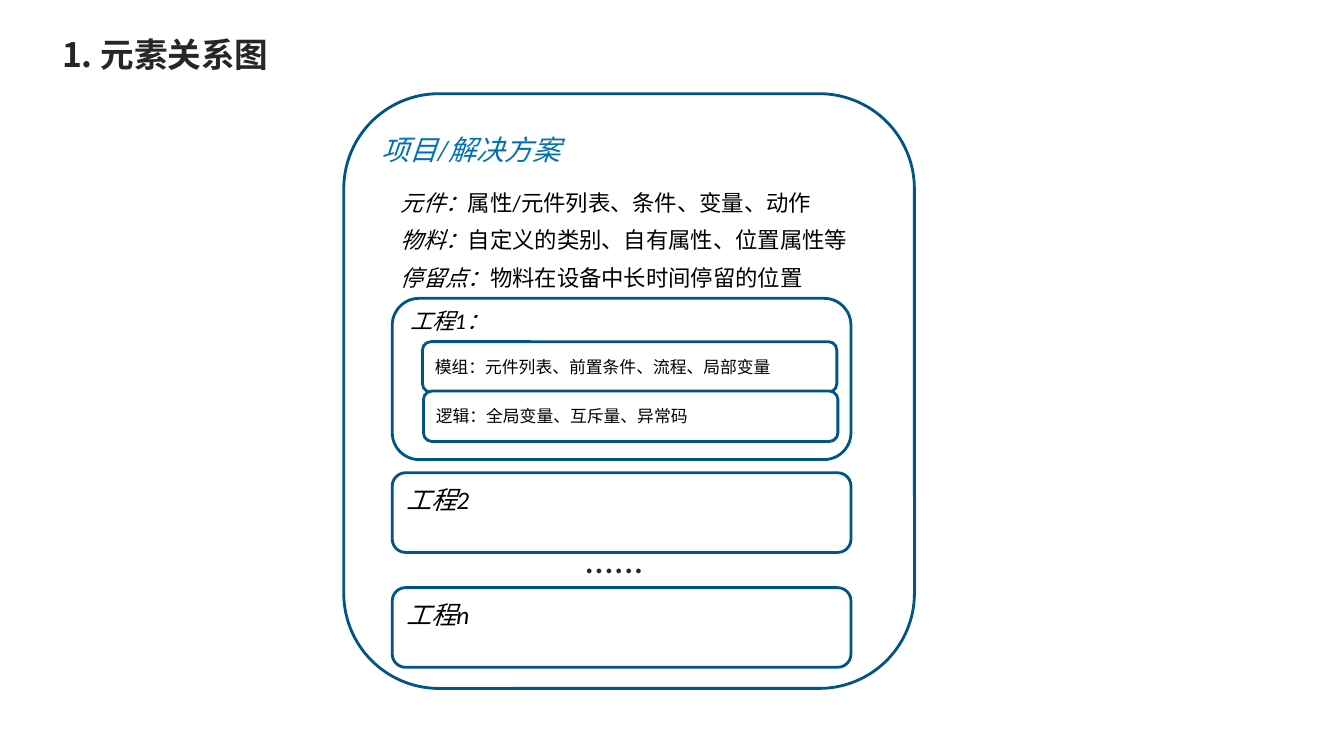
import pptx
import pptx.dml.color
import pptx.enum.shapes
import pptx.enum.text
import pptx.util
from lxml import etree
from dataclasses import dataclass

Inches, Pt = pptx.util.Inches, pptx.util.Pt
ANCHOR = pptx.enum.text.MSO_ANCHOR
ALIGN = pptx.enum.text.PP_ALIGN
ROUNDED = pptx.enum.shapes.MSO_SHAPE.ROUNDED_RECTANGLE


@dataclass(frozen=True)
class Theme:
    white: str = "FFFFFF"
    border: str = "005587"
    accent: str = "0071B4"
    dark: str = "262626"
    black: str = "000000"
    font: str = "Calibri"
    title_font: str = "Noto Sans CJK SC"
    title: int = 24
    heading: int = 20
    project: int = 18
    body: int = 16
    detail: int = 12
    dots: int = 28


THEME = Theme()


def rgb(value):
    return pptx.dml.color.RGBColor.from_string(value)


def add_run(p, text, size, color=THEME.black, font=THEME.font, bold=False, italic=False):
    r = p.add_run()
    r.text = text
    r.font.size = Pt(size)
    r.font.name = font
    r.font.bold = bold
    r.font.italic = italic
    r.font.color.rgb = rgb(color)
    return r


def add_box(slide, x, y, w, h, border=THEME.border, anchor=ANCHOR.TOP):
    """Rounded box; returns its text frame."""
    sp = slide.shapes.add_shape(ROUNDED, Inches(x), Inches(y), Inches(w), Inches(h))
    sp.shadow.inherit = False
    sp.fill.solid()
    sp.fill.fore_color.rgb = rgb(THEME.white)
    if border:
        sp.line.color.rgb = rgb(border)
        sp.line.width = Pt(2)
    else:
        sp.line.fill.background()
    tf = sp.text_frame
    tf.word_wrap = True
    tf.vertical_anchor = anchor
    tf.paragraphs[0].alignment = ALIGN.LEFT
    return tf


def add_title(slide, x, y, w, h):
    tf = add_box(slide, x, y, w, h, border=None, anchor=ANCHOR.MIDDLE)
    r = add_run(tf.paragraphs[0], "1. 元素关系图", THEME.title, THEME.dark,
                THEME.title_font, bold=True)
    # East Asian typeface
    rPr = r.font._element
    ea = etree.Element(pptx.oxml.ns.qn("a:ea"), typeface=THEME.title_font)
    rPr.find(pptx.oxml.ns.qn("a:latin")).addnext(ea)


def add_solution(slide, x, y, w, h):
    """Outer box with its heading and definitions."""
    tf = add_box(slide, x, y, w, h)
    p = tf.paragraphs[0]
    p.line_spacing = Pt(28)
    p.space_after = Pt(9)
    add_run(p, "项目/解决方案", THEME.heading, THEME.accent, italic=True)
    definitions = [
        ("元件：", "属性/元件列表、条件、变量、动作"),
        ("物料：", "自定义的类别、自有属性、位置属性等"),
        ("停留点：", "物料在设备中长时间停留的位置"),
    ]
    for term, meaning in definitions:
        p = tf.add_paragraph()
        p.alignment = ALIGN.LEFT
        p.line_spacing = Pt(26.8)
        p._p.get_or_add_pPr().set("marL", str(Inches(0.19)))
        add_run(p, term, THEME.body, italic=True)
        add_run(p, meaning, THEME.body)


def add_project(slide, x, y, w, h, name, size=THEME.project, line=23.5, top=0.05):
    tf = add_box(slide, x, y, w, h)
    tf.margin_top = Inches(top)
    p = tf.paragraphs[0]
    p.line_spacing = Pt(line)
    add_run(p, name, size, italic=True)


def add_detailed_project(slide, x, y, w, h):
    """First project with its stacked parts."""
    add_project(slide, x, y, w, h, "工程1：", THEME.body, line=20, top=0)
    parts = ["模组：元件列表、前置条件、流程、局部变量", "逻辑：全局变量、互斥量、异常码"]
    for i, text in enumerate(parts):
        tf = add_box(slide, x + 0.3 + 0.01 * i, y + 0.43 + 0.49 * i, 4.11, 0.5,
                     anchor=ANCHOR.MIDDLE)
        add_run(tf.paragraphs[0], text, THEME.detail)


def add_dots(slide, x, y, w, h):
    sp = slide.shapes.add_textbox(Inches(x), Inches(y), Inches(w), Inches(h))
    tf = sp.text_frame
    tf.word_wrap = True
    p = tf.paragraphs[0]
    p.alignment = ALIGN.CENTER
    add_run(p, "......", THEME.dots, THEME.dark)


def add_relation_diagram(slide, x, y, w, h):
    add_solution(slide, x, y, w, h)
    left, width = x + 0.48, 4.55
    add_detailed_project(slide, left, y + 2.03, width, 1.6)
    for name, offset in [("工程2", 3.76), ("工程n", 4.9)]:
        add_project(slide, left, y + offset, width, 0.79, name)
    add_dots(slide, x + 1.43, y + 4.32, 2.5, 0.64)


def main():
    prs = pptx.Presentation()
    prs.slide_width, prs.slide_height = Inches(13.33), Inches(7.5)
    slide = prs.slides.add_slide(prs.slide_layouts[6])
    add_title(slide, 0.49, 0.26, 4.45, 0.56)
    add_relation_diagram(slide, 3.41, 0.93, 5.66, 5.9)
    prs.save("out.pptx")


if __name__ == "__main__":
    main()
